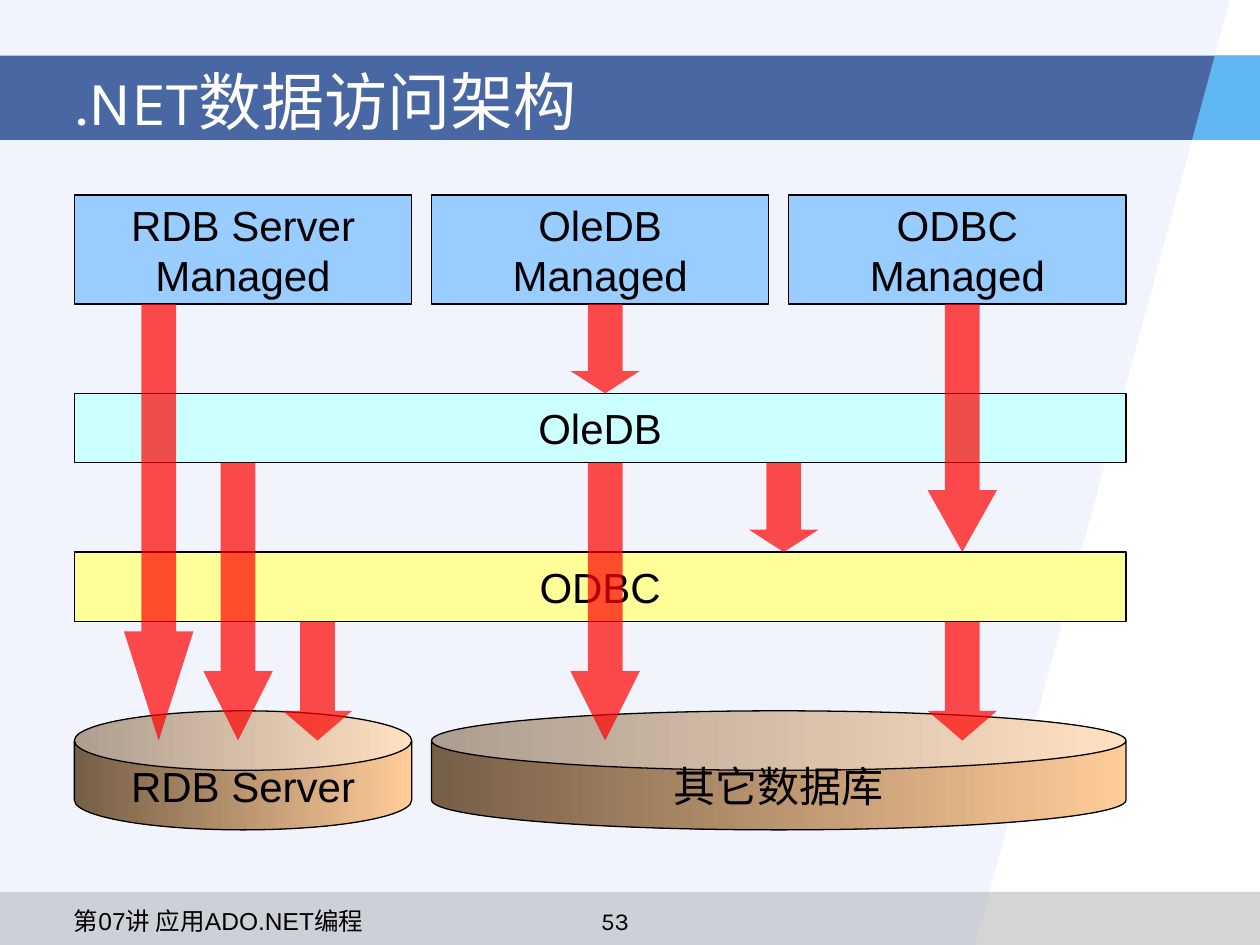
from lxml.etree import SubElement
from pptx import Presentation
from pptx.dml.color import RGBColor
from pptx.enum.shapes import MSO_SHAPE as Shape
from pptx.enum.text import MSO_ANCHOR as Anchor, PP_ALIGN as Align
from pptx.oxml.ns import qn
from pptx.util import Cm, Pt

COLORS = {
    "black": "000000", "white": "FFFFFF", "footer": "969696",
    "panel": "94B1EC", "banner": "173D89", "accent": "5FB6F1",
    "provider": "99CCFF", "oledb": "CCFFFF", "odbc": "FFFF99",
    "can_dark": "765E47", "can_light": "FFCC99", "arrow": "FF0000",
}
SLIDE_W, SLIDE_H = 25.4, 19.05
BANNER_TOP, BANNER_H = 1.12, 1.7

# Diagram rows, measured from the diagram's top: (top, height)
PROVIDERS, OLEDB, ODBC, STORES = (0, 2.2), (4, 1.4), (7.2, 1.4), (10.4, 2.4)
STORE_ENTRY = 11
COLUMN_W, COLUMN_GAP = 6.8, 0.4
ARROW_W = 1.4


def rgb(name):
    return RGBColor.from_string(COLORS[name])


def paint(shape, color, opacity=100, outlined=False):
    shape.shadow.inherit = False
    shape.fill.solid()
    shape.fill.fore_color.rgb = rgb(color)
    if opacity < 100:
        color_xml = shape.fill._xPr.find(qn("a:solidFill"))[0]
        SubElement(color_xml, qn("a:alpha"), val=str(opacity * 1000))
    outline(shape, outlined)


def outline(shape, visible):
    if visible:
        shape.line.color.rgb = rgb("black")
        shape.line.width = Pt(0.75)
    else:
        shape.line.fill.background()


def write(shape, text, size, font="Arial", color="black",
          align=Align.CENTER, anchor=Anchor.MIDDLE, wrap=False):
    frame = shape.text_frame
    frame.text = text
    frame.word_wrap = wrap
    frame.vertical_anchor = anchor
    for paragraph in frame.paragraphs:
        paragraph.alignment = align
        paragraph.font.size = Pt(size)
        paragraph.font.name = font
        paragraph.font.color.rgb = rgb(color)


def add_block(slide, kind, left, top, width, height):
    return slide.shapes.add_shape(kind, Cm(left), Cm(top), Cm(width), Cm(height))


def add_label(slide, left, top, width, height, text, size, **style):
    box = slide.shapes.add_textbox(Cm(left), Cm(top), Cm(width), Cm(height))
    write(box, text, size, wrap=True, **style)


def add_polygon(slide, points):
    start, *rest = [(Cm(x), Cm(y)) for x, y in points]
    builder = slide.shapes.build_freeform(*start, scale=1)
    builder.add_line_segments(rest, close=True)
    return builder.convert_to_shape()


def slant_x(y):
    """Position of the slanted right edge of the panel at height y."""
    return 24.79 - 5.13 * y / SLIDE_H


def add_background(slide, width, height):
    footer_h = 1.07
    footer = add_block(slide, Shape.RECTANGLE, 0, height - footer_h, width, footer_h)
    paint(footer, "footer", 40)

    panel = add_polygon(slide, [(0, 0), (slant_x(0), 0),
                                (slant_x(height), height), (0, height)])
    paint(panel, "panel", 13)

    banner = add_block(slide, Shape.RECTANGLE, 0, BANNER_TOP, width, BANNER_H)
    paint(banner, "banner", 77)

    bottom = BANNER_TOP + BANNER_H
    accent = add_polygon(slide, [(slant_x(BANNER_TOP), BANNER_TOP),
                                 (slant_x(bottom), bottom),
                                 (width, bottom), (width, BANNER_TOP)])
    paint(accent, "accent")


def add_footer_text(slide, left, top):
    add_label(slide, left + 9.47, top, 3.38, 0.62, "53", 14,
              font="Karla", anchor=Anchor.TOP)
    add_label(slide, left, top, 9.04, 0.62, "第07讲 应用ADO.NET编程", 14,
              align=Align.LEFT, anchor=Anchor.TOP)


def add_layer(slide, left, top, width, height, text, color):
    layer = add_block(slide, Shape.RECTANGLE, left, top, width, height)
    paint(layer, color, outlined=True)
    write(layer, text, 24)


def add_store(slide, left, top, width, height, text):
    store = add_block(slide, Shape.CAN, left, top, width, height)
    store.adjustments[0] = 0.5
    store.shadow.inherit = False
    store.fill.gradient()
    store.fill.gradient_angle = 0
    for stop, color in zip(store.fill.gradient_stops, ("can_dark", "can_light")):
        stop.color.rgb = rgb(color)
    outline(store, True)
    write(store, text, 24)


def add_arrow(slide, center, top, bottom):
    """Down arrow whose head takes a quarter of its length."""
    length = bottom - top
    arrow = add_block(slide, Shape.DOWN_ARROW, center - ARROW_W / 2, top,
                      ARROW_W, length)
    arrow.adjustments[0] = 0.5
    arrow.adjustments[1] = length / 4 / ARROW_W
    paint(arrow, "arrow", 70)


def add_diagram(slide, left, top, width):
    pitch = COLUMN_W + COLUMN_GAP
    row_top, row_h = PROVIDERS
    for column, name in enumerate(("RDB Server", "OleDB", "ODBC")):
        add_layer(slide, left + column * pitch, top + row_top, COLUMN_W, row_h,
                  f"{name}\nManaged", "provider")

    for (row_top, row_h), name, color in ((OLEDB, "OleDB", "oledb"),
                                          (ODBC, "ODBC", "odbc")):
        add_layer(slide, left, top + row_top, width, row_h, name, color)

    row_top, row_h = STORES
    add_store(slide, left, top + row_top, COLUMN_W, row_h, "RDB Server")
    add_store(slide, left + pitch, top + row_top, width - pitch, row_h, "其它数据库")

    under_providers, under_oledb, under_odbc = map(sum, (PROVIDERS, OLEDB, ODBC))
    calls = [
        (1.7, under_providers, STORE_ENTRY),
        (3.3, under_oledb, STORE_ENTRY),
        (4.9, under_odbc, STORE_ENTRY),
        (10.7, under_oledb, STORE_ENTRY),
        (17.9, under_odbc, STORE_ENTRY),
        (10.7, under_providers, OLEDB[0]),
        (17.9, under_providers, ODBC[0]),
        (14.3, under_oledb, ODBC[0]),
    ]
    for center, start, end in calls:
        add_arrow(slide, left + center, top + start, top + end)


def main():
    deck = Presentation()
    deck.slide_width, deck.slide_height = Cm(SLIDE_W), Cm(SLIDE_H)
    slide = deck.slides.add_slide(deck.slide_layouts[6])
    add_background(slide, SLIDE_W, SLIDE_H)
    add_footer_text(slide, 1.24, 18.14)
    add_label(slide, 1.3, 0.91, 22.86, 2.21, ".NET数据访问架构", 36,
              font="Karla", color="white", align=Align.LEFT)
    add_diagram(slide, 1.5, 3.93, 21.2)
    deck.save("out.pptx")


if __name__ == "__main__":
    main()
